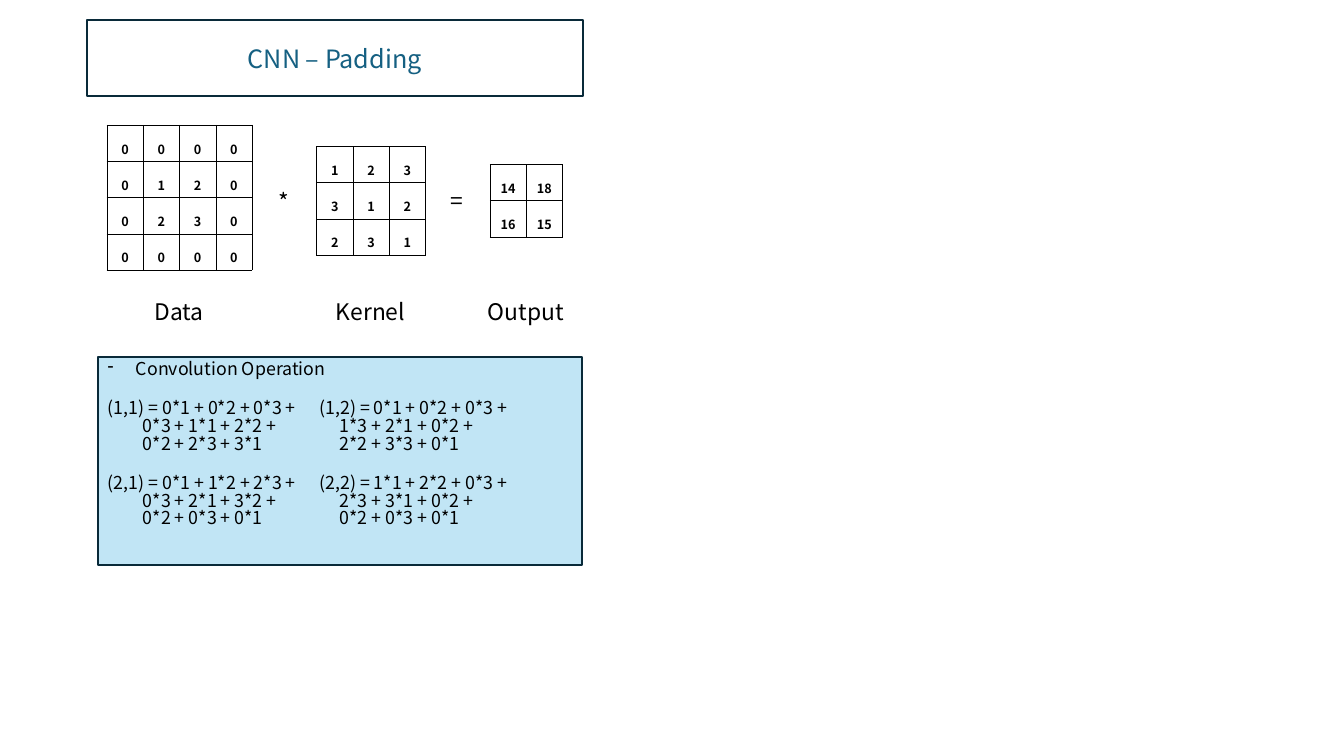
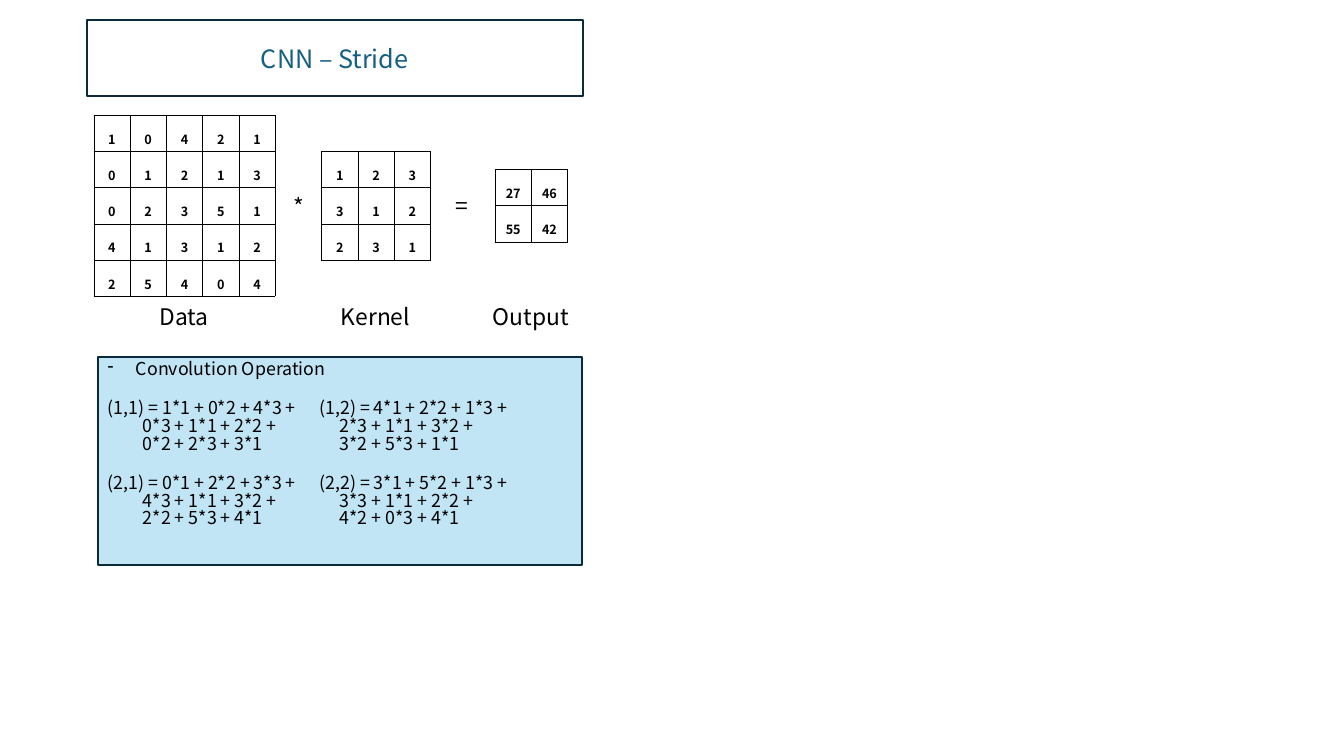
import pptx
import pptx.chart.data
import pptx.dml.color
import pptx.enum.shapes
import pptx.enum.text
import pptx.oxml
import pptx.oxml.ns
import pptx.util
from dataclasses import dataclass
from lxml import etree

Inches, Pt = pptx.util.Inches, pptx.util.Pt
RGB = pptx.dml.color.RGBColor.from_string
ALIGN, ANCHOR = pptx.enum.text.PP_ALIGN, pptx.enum.text.MSO_ANCHOR
qn = pptx.oxml.ns.qn


@dataclass(frozen=True)
class Theme:
    font: str = "Noto Sans CJK KR"
    ink: str = "000000"
    paper: str = "FFFFFF"
    edge: str = "092A39"
    head: str = "156082"
    panel: str = "C1E5F5"
    title: float = 18
    label: float = 16.3
    body: float = 12.7
    digit: float = 9
    line: float = 1.5
    hair: float = 0.28


theme = Theme()


def write(frame, text, size=theme.label, color=theme.ink, bold=False,
          align=ALIGN.CENTER, anchor=ANCHOR.MIDDLE, space=None):
    """Fill a text frame, one paragraph for each line of text."""
    frame.word_wrap = True
    frame.vertical_anchor = anchor
    for i, line in enumerate(text.split("\n")):
        para = frame.add_paragraph() if i else frame.paragraphs[0]
        para.alignment = align
        para.line_spacing = space
        run = para.add_run()
        run.text = line
        run.font.name, run.font.size, run.font.bold = theme.font, Pt(size), bold
        run.font.color.rgb = RGB(color)


def box(slide, left, top, width, height, fill=theme.paper, line=theme.paper):
    """Add a rectangle and return its text frame."""
    shape = slide.shapes.add_shape(
        pptx.enum.shapes.MSO_SHAPE.RECTANGLE,
        Inches(left), Inches(top), Inches(width), Inches(height))
    shape.shadow.inherit = False
    shape.fill.solid()
    shape.fill.fore_color.rgb = RGB(fill)
    shape.line.color.rgb = RGB(line)
    shape.line.width = Pt(theme.line)
    return shape.text_frame


CELL = 0.36
MID = 1.99
KERNEL = [[1, 2, 3], [3, 1, 2], [2, 3, 1]]
CENTERS = {"Data": 1.78, "Kernel": 3.68, "Output": 5.22}

# shift moves the whole figure, lift raises the data grid, star is the left of "*"
pages = [
    dict(title="CNN – Padding", step=1, shift=0, lift=0.03, star=2.66,
         data=[[0, 0, 0, 0], [0, 1, 2, 0], [0, 2, 3, 0], [0, 0, 0, 0]],
         out=[[14, 18], [16, 15]]),
    dict(title="CNN – Stride", step=2, shift=0.05, lift=0, star=2.8,
         data=[[1, 0, 4, 2, 1], [0, 1, 2, 1, 3], [0, 2, 3, 5, 1],
               [4, 1, 3, 1, 2], [2, 5, 4, 0, 4]],
         out=[[27, 46], [55, 42]]),
]

deck = pptx.Presentation()
deck.slide_width, deck.slide_height = Inches(13.33), Inches(7.5)

for page in pages:
    slide = deck.slides.add_slide(deck.slide_layouts[6])
    shift = page["shift"]
    mid = MID + shift
    write(box(slide, 0.86, 0.2, 4.92, 0.75, line=theme.edge),
          page["title"], size=theme.title, color=theme.head)

    # Grids with their labels
    grids = (page["data"], KERNEL, page["out"])
    for (name, center), grid in zip(CENTERS.items(), grids):
        side = CELL * len(grid)
        x = center + shift
        lift = page["lift"] if name == "Data" else 0
        table = slide.shapes.add_table(
            len(grid), len(grid), Inches(x - side / 2),
            Inches(mid - lift - side / 2), Inches(side), Inches(side)).table
        table.first_row = table.horz_banding = False
        for r, row in enumerate(grid):
            table.rows[r].height = table.columns[r].width = Inches(CELL)
            for c, value in enumerate(row):
                cell = table.cell(r, c)
                cell.margin_left = cell.margin_right = Inches(0.06)
                cell.margin_top = cell.margin_bottom = Inches(0.02)
                write(cell.text_frame, str(value), size=theme.digit, bold=True, space=1.6)
                cell.vertical_anchor = ANCHOR.MIDDLE
                props = cell._tc.get_or_add_tcPr()
                for tag in ("a:lnL", "a:lnR", "a:lnT", "a:lnB"):
                    rule = etree.SubElement(props, qn(tag), w=str(Pt(theme.hair)))
                    solid = etree.SubElement(rule, qn("a:solidFill"))
                    etree.SubElement(solid, qn("a:srgbClr"), val=theme.ink)
                cell.fill.background()
        write(box(slide, x - 0.54, 2.91 + shift, 1.07, CELL), name)

    signs = (("*", page["star"], ANCHOR.TOP), ("=", 4.37 + shift, ANCHOR.BOTTOM))
    for sign, left, anchor in signs:
        write(box(slide, left, mid - CELL / 2, 0.32, CELL), sign, anchor=anchor)

    # Products behind each output value, two values side by side
    lines = ["Convolution Operation"]
    for r in range(2):
        for k, weights in enumerate(KERNEL):
            parts = []
            for c in range(2):
                start = c * page["step"]
                values = page["data"][r * page["step"] + k][start:start + 3]
                terms = " + ".join(f"{v}*{w}" for v, w in zip(values, weights))
                lead = "\t" if k else f"({r + 1},{c + 1}) = "
                parts.append(lead + terms + (" +" if k < 2 else ""))
            lines.append(("" if k else "\t").join(parts))
    panel = box(slide, 0.97, 3.54, 4.8, 2.07, fill=theme.panel, line=theme.edge)
    write(panel, "\n".join(lines), size=theme.body, align=ALIGN.LEFT,
          anchor=ANCHOR.TOP, space=0.83)
    for i, para in enumerate(panel.paragraphs):
        props = para._p.get_or_add_pPr()
        if i == 0:
            props.set("marL", str(Inches(0.28)))
            props.set("indent", str(Inches(-0.28)))
            etree.SubElement(props, qn("a:buChar"), char="-")
            continue
        first = i % 3 == 1
        if first:
            para.space_before = Pt(15.2)
        stops = etree.SubElement(props, qn("a:tabLst"))
        for stop in (2.1,) if first else (0.35, 2.3):
            etree.SubElement(stops, qn("a:tab"), pos=str(Inches(stop)), algn="l")

deck.save("out.pptx")
